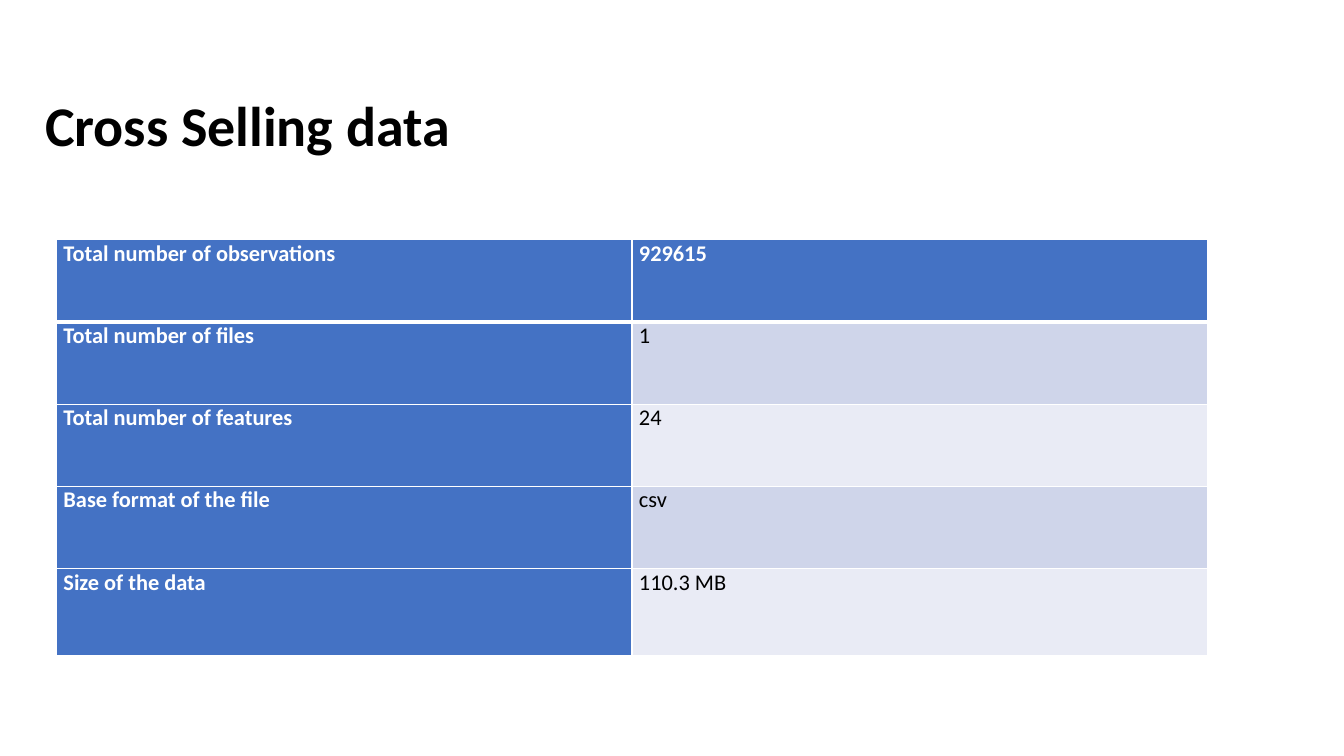
from lxml.etree import SubElement
from pptx import Presentation
from pptx.dml.color import RGBColor as RGB
from pptx.enum.text import MSO_ANCHOR as Anchor
from pptx.oxml import parse_xml
from pptx.oxml.ns import nsdecls
from pptx.util import Inches, Pt

COLORS = {
    "header": "4472C4",
    "odd": "CFD5EA",
    "even": "E9EBF5",
    "light": "FFFFFF",
    "dark": "000000",
}
FACTS = [
    ("Total number of observations", "929615"),
    ("Total number of files", "1"),
    ("Total number of features", "24"),
    ("Base format of the file", "csv"),
    ("Size of the data", "110.3 MB"),
]


class Deck:
    font = "Calibri"

    def __init__(self):
        self.prs = Presentation()
        self.prs.slide_width, self.prs.slide_height = Inches(13.33), Inches(7.5)
        self.s = self.prs.slides.add_slide(self.prs.slide_layouts[6])

    def x(self, percent):
        return round(self.prs.slide_width * percent / 100)

    def y(self, percent):
        return round(self.prs.slide_height * percent / 100)

    def run(self, tf, text, size, color, bold):
        r = tf.paragraphs[0].add_run()
        r.text = text
        r.font.name, r.font.size, r.font.bold = self.font, Pt(size), bold
        r.font.color.rgb = RGB.from_string(COLORS[color])

    def title(self, text, left, top, width, height):
        sp = self.s.shapes.add_textbox(
            self.x(left), self.y(top), self.x(width), self.y(height))
        tf = sp.text_frame
        tf.word_wrap = False
        tf.vertical_anchor = Anchor.MIDDLE
        tf.margin_top, tf.margin_bottom = Inches(0.34), Inches(0.05)
        self.run(tf, text, 40, "dark", True)

    def borders(self, cell, top, bottom):
        tc_pr = cell.fill._xPr
        widths = {"lnL": 1, "lnR": 1, "lnT": top, "lnB": bottom}
        for i, (side, width) in enumerate(widths.items()):
            ln = parse_xml(f'<a:{side} {nsdecls("a")} w="{Pt(width)}"/>')
            fill = SubElement(ln, f"{{{ln.nsmap['a']}}}solidFill")
            SubElement(fill, f"{{{ln.nsmap['a']}}}srgbClr", val=COLORS["light"])
            tc_pr.insert(i, ln)

    def cell(self, cell, text, row, col):
        header = row == 0 or col == 0
        fill = "header" if header else "odd" if row % 2 else "even"
        cell.fill.solid()
        cell.fill.fore_color.rgb = RGB.from_string(COLORS[fill])
        cell.margin_left = cell.margin_right = Inches(0.07)
        cell.margin_top = cell.margin_bottom = 0
        self.run(cell.text_frame, text, 16, "light" if header else "dark", header)
        self.borders(cell, 3 if row == 1 else 1, 3 if row == 0 else 1)

    def table(self, data, left, top, col_width, row_height, last_height):
        heights = [row_height] * (len(data) - 1) + [last_height]
        table = self.s.shapes.add_table(
            len(data), len(data[0]), self.x(left), self.y(top),
            self.x(col_width * len(data[0])), self.y(sum(heights))).table
        for col in table.columns:
            col.width = self.x(col_width)
        for i, (values, height) in enumerate(zip(data, heights)):
            table.rows[i].height = self.y(height)
            for j, text in enumerate(values):
                self.cell(table.cell(i, j), text, i, j)


def main():
    deck = Deck()
    deck.table(FACTS, 4.2, 31.73, 42.82, 10.88, 11.5)
    deck.title("Cross Selling data", 2.62, 3.87, 33.15, 21.2)
    deck.prs.save("out.pptx")


if __name__ == "__main__":
    main()
